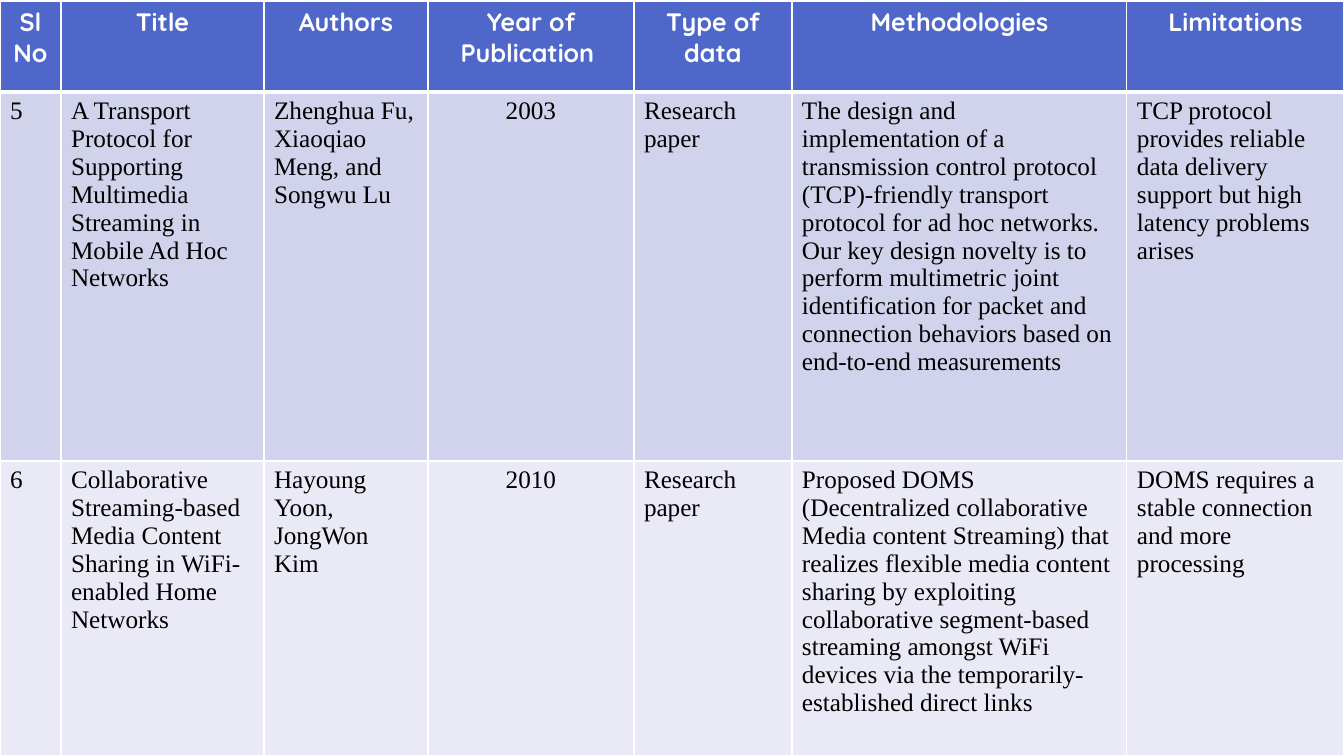
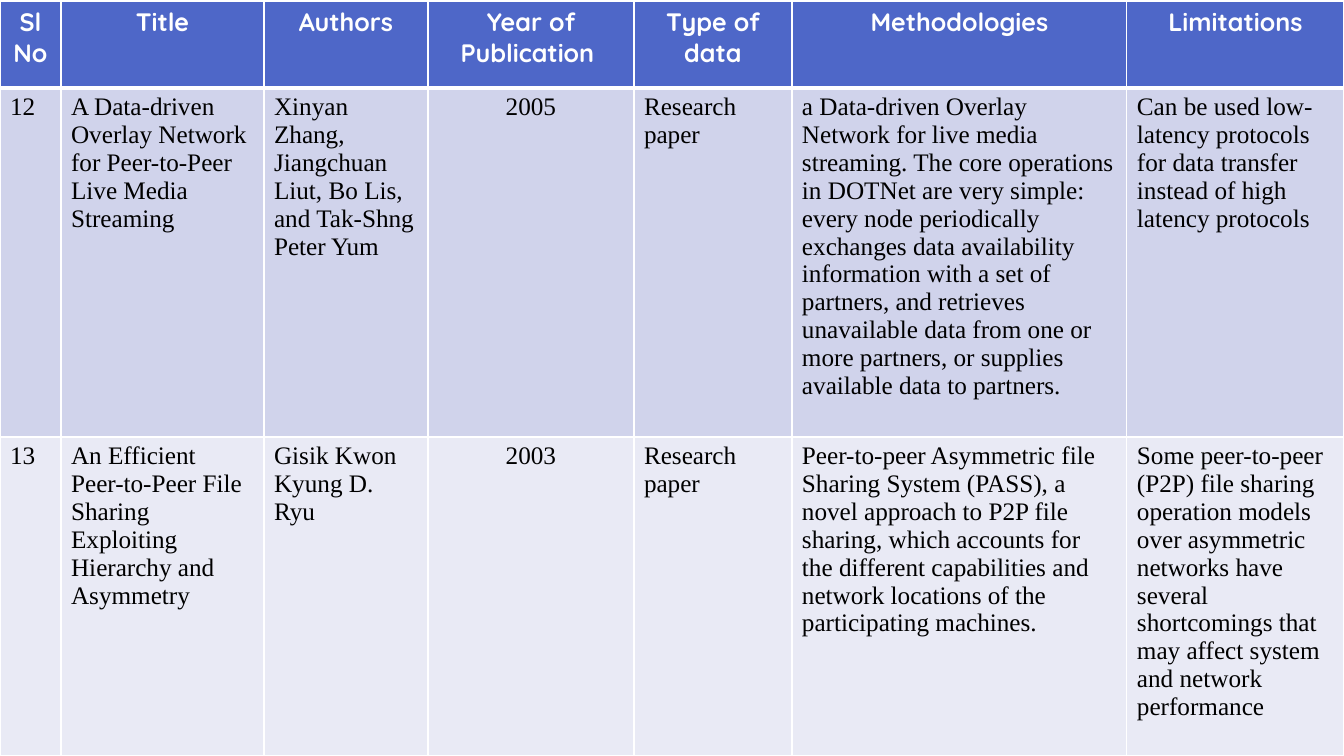
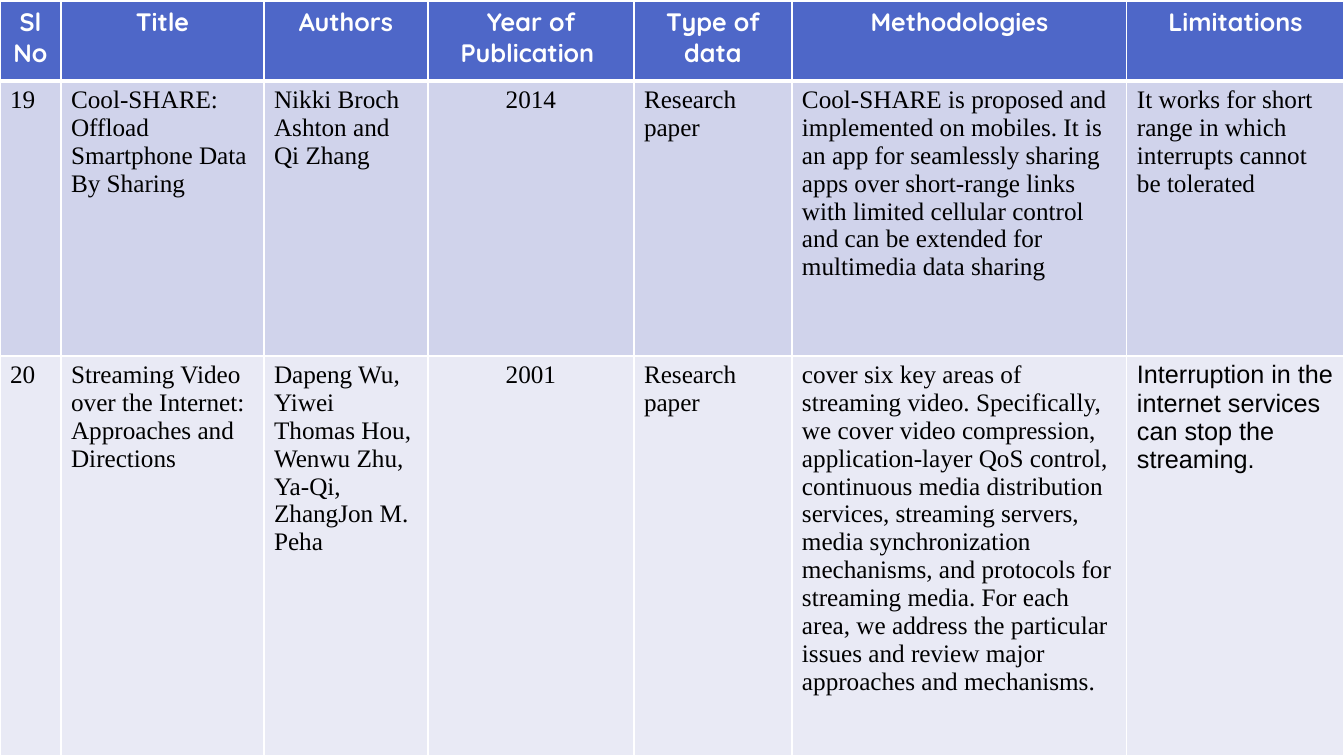
from lxml import etree
from pptx import Presentation
from pptx.dml.color import RGBColor
from pptx.enum.text import PP_ALIGN
from pptx.oxml.ns import qn
from pptx.util import Emu, Pt

CENTER = PP_ALIGN.CENTER
LEFT = PP_ALIGN.LEFT

SCALE = 914400 / 100.8
WIDE, HIGH = 1344, 756
TOP = 1
COLS = [61, 203, 164, 206, 158, 335, 217]
YEAR = 3
THIN, THICK = 0.96, 3

COLORS = {
    "head": "4E67C8",
    "odd": "D0D3EB",
    "even": "E9EAF5",
    "white": "FFFFFF",
    "gray": "B9B9B9",
    "black": "000000",
}
HEAD_FONT = "Quicksand"
BODY_FONT = "Times New Roman"
PLAIN_FONT = "Arial"

HEADS = ["Sl No", "Title", "Authors", "Year of Publication ", "Type of data",
         "Methodologies", "Limitations"]
KIND = "Research paper"

# Each slide: row heights, then its papers
SLIDES = [
    ([91, 369, 295], [
        ["5",
         "A Transport Protocol for Supporting Multimedia Streaming in Mobile "
         "Ad Hoc Networks",
         "Zhenghua Fu, Xiaoqiao Meng, and Songwu Lu",
         "2003", KIND,
         "The design and implementation of a transmission control protocol "
         "(TCP)-friendly transport protocol for ad hoc networks. Our key design "
         "novelty is to perform multimetric joint identification for packet and "
         "connection behaviors based on end-to-end measurements",
         "TCP protocol provides reliable data delivery support but high latency "
         "problems arises"],
        ["6",
         "Collaborative Streaming-based Media Content Sharing in WiFi-enabled "
         "Home Networks",
         "Hayoung Yoon, JongWon Kim",
         "2010", KIND,
         "Proposed DOMS (Decentralized collaborative Media content Streaming) "
         "that realizes flexible media content sharing by exploiting "
         "collaborative segment-based streaming amongst WiFi devices via the "
         "temporarily-established direct links",
         "DOMS requires a stable connection and more processing"],
    ]),
    ([87, 349, 319], [
        ["12",
         "A Data-driven Overlay Network for Peer-to-Peer Live Media Streaming",
         "Xinyan Zhang, Jiangchuan Liut, Bo Lis, and Tak-Shng Peter Yum",
         "2005", KIND,
         "a Data-driven Overlay Network for live media streaming. The core "
         "operations in DOTNet are very simple: every node periodically "
         "exchanges data availability information with a set of partners, and "
         "retrieves unavailable data from one or more partners, or supplies "
         "available data to partners.",
         "Can be used low-latency protocols for data transfer instead of high "
         "latency protocols"],
        ["13",
         "An Efficient Peer-to-Peer File Sharing Exploiting Hierarchy and "
         "Asymmetry",
         "Gisik Kwon Kyung D. Ryu",
         "2003", KIND,
         "Peer-to-peer Asymmetric file Sharing System (PASS), a novel approach "
         "to P2P file sharing, which accounts for the different capabilities "
         "and network locations of the participating machines.",
         "Some peer-to-peer (P2P) file sharing operation models over asymmetric "
         "networks have several shortcomings that may affect system and network "
         "performance"],
    ]),
    ([80, 275, 400], [
        ["19",
         "Cool-SHARE: Offload Smartphone Data By Sharing",
         "Nikki Broch Ashton and Qi Zhang",
         "2014", KIND,
         "Cool-SHARE is proposed and implemented on mobiles. It is an app for "
         "seamlessly sharing apps over short-range links with limited cellular "
         "control and can be extended for multimedia data sharing",
         "It works for short range in which interrupts cannot be tolerated"],
        ["20",
         "Streaming Video over the Internet: Approaches and Directions",
         "Dapeng Wu, Yiwei Thomas Hou, Wenwu Zhu, Ya-Qi, ZhangJon M. Peha",
         "2001", KIND,
         "cover six key areas of streaming video. Specifically, we cover video "
         "compression, application-layer QoS control, continuous media "
         "distribution services, streaming servers, media synchronization "
         "mechanisms, and protocols for streaming media. For each area, we "
         "address the particular issues and review major approaches and "
         "mechanisms.",
         "Interruption in the internet services can stop the streaming."],
    ]),
]


def px(count):
    return Emu(round(count * SCALE))


def rgb(name):
    return RGBColor.from_string(COLORS[name])


def set_back(master):
    """Fade from white at the top to gray at the bottom."""
    fill = master.background.fill
    fill.gradient()
    fill.gradient_angle = 270
    for stop, name in zip(fill.gradient_stops, ("white", "gray")):
        stop.color.rgb = rgb(name)


def set_edges(cell, row):
    """Draw white cell borders, with a thick line under the header."""
    props = cell._tc.get_or_add_tcPr()
    sizes = {"L": THIN, "R": THIN,
             "T": THICK if row == 1 else THIN,
             "B": THICK if row == 0 else THIN}
    for spot, (side, size) in enumerate(sizes.items()):
        line = etree.Element(qn(f"a:ln{side}"), w=str(Pt(size)))
        fill = etree.SubElement(line, qn("a:solidFill"))
        etree.SubElement(fill, qn("a:srgbClr"), val=COLORS["white"])
        props.insert(spot, line)


def fill_cell(cell, text, row, col, face):
    head = row == 0
    cell.fill.solid()
    cell.fill.fore_color.rgb = rgb(("head", "odd", "even")[row])
    set_edges(cell, row)
    cell.text_frame.text = text
    para = cell.text_frame.paragraphs[0]
    para.alignment = CENTER if head or col == YEAR else LEFT
    font = para.runs[0].font
    font.name = face
    font.size = Pt(18)
    font.bold = head
    font.color.rgb = rgb("white" if head else "black")


def add_papers(slide, heights, papers):
    rows = [HEADS] + papers
    frame = slide.shapes.add_table(len(rows), len(COLS), 0, px(TOP),
                                   px(WIDE), px(sum(heights)))
    table = frame.table
    for column, width in zip(table.columns, COLS):
        column.width = px(width)
    for row, texts in enumerate(rows):
        table.rows[row].height = px(heights[row])
        for col, text in enumerate(texts):
            face = HEAD_FONT if row == 0 else BODY_FONT
            if text.startswith("Interruption"):
                face = PLAIN_FONT
            fill_cell(table.cell(row, col), text, row, col, face)


def main():
    prs = Presentation()
    prs.slide_width, prs.slide_height = px(WIDE), px(HIGH)
    set_back(prs.slide_master)
    blank = prs.slide_layouts[6]
    for heights, papers in SLIDES:
        add_papers(prs.slides.add_slide(blank), heights, papers)
    prs.save("out.pptx")


if __name__ == "__main__":
    main()
